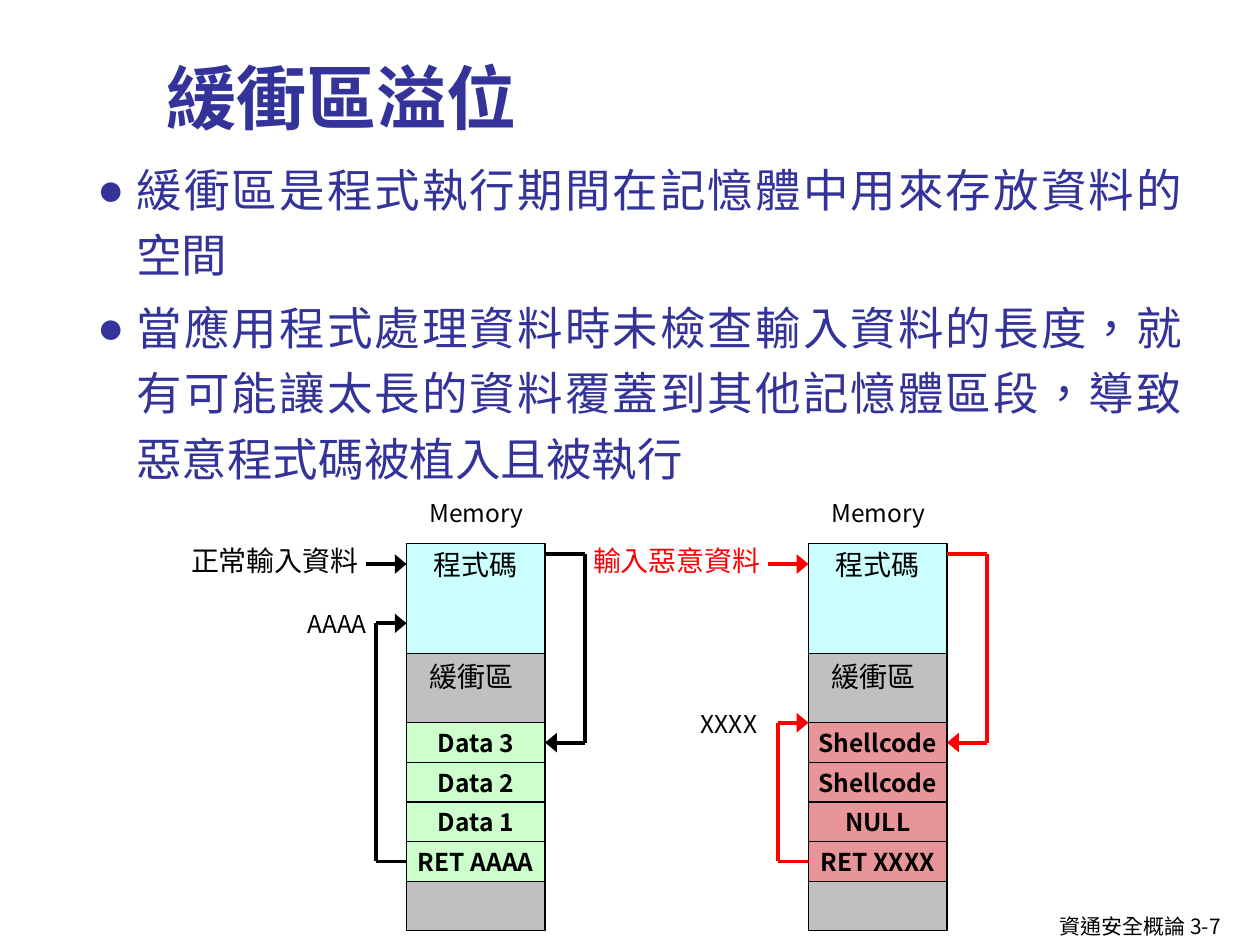
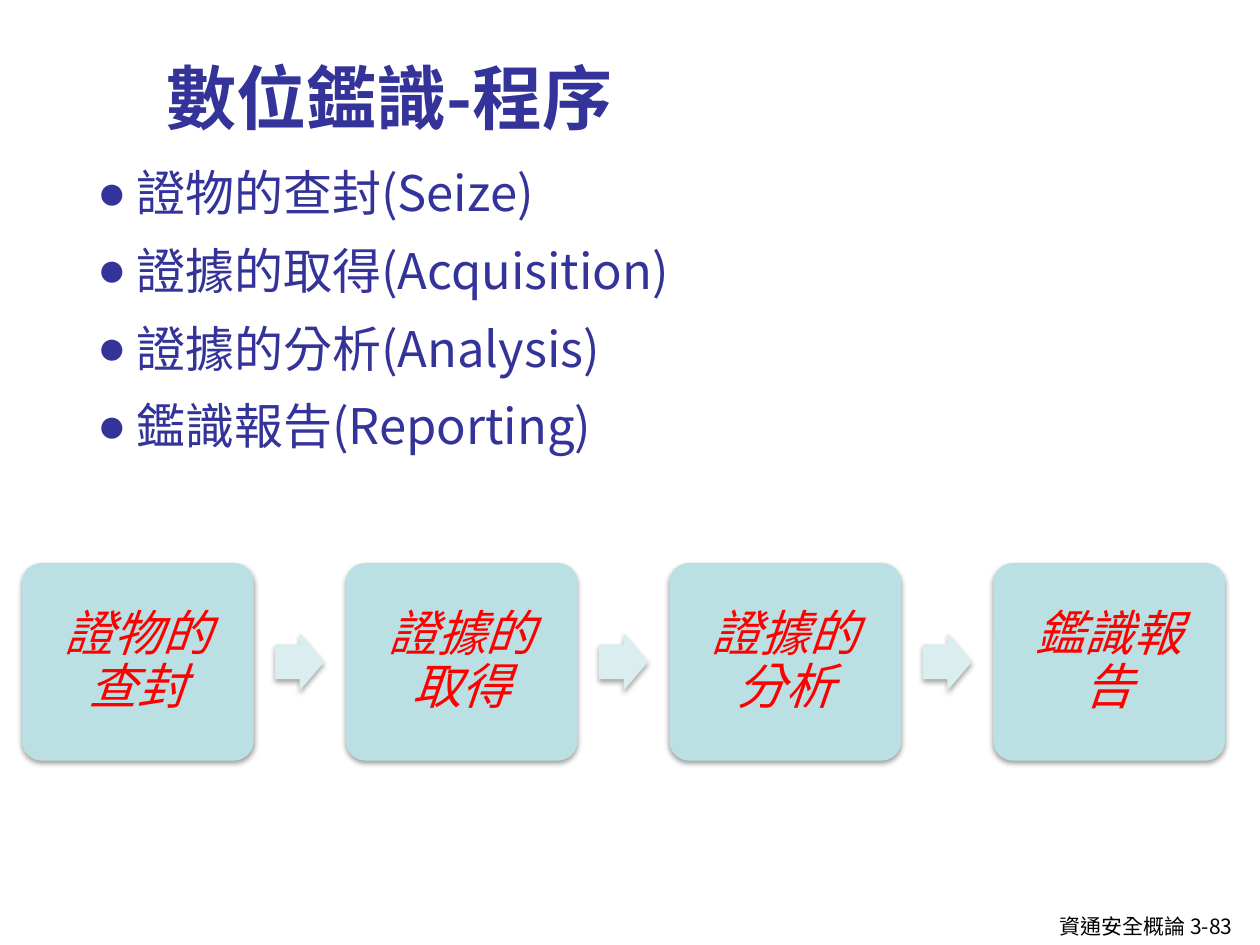
import pptx
import pptx.util
import pptx.dml.color
import pptx.enum.shapes
import pptx.enum.text
import pptx.oxml
import pptx.oxml.ns

Pt = pptx.util.Pt
qn = pptx.oxml.ns.qn
SHAPE = pptx.enum.shapes.MSO_SHAPE
ALIGN = pptx.enum.text.PP_ALIGN
ANCHOR = pptx.enum.text.MSO_ANCHOR

FONT = "Noto Sans CJK SC"
FLOW_FONT = "Noto Sans CJK TC"
BLACK, RED, NAVY = "000000", "FF0000", "333399"
CYAN, GREY, GREEN, PINK = "CCFFFF", "C0C0C0", "CCFFCC", "FF7C80"
NODE_FILL, ARROW_FILL = "BBE0E3", "DAEDEF"

TITLE_BOX = (88.2, 9.4, 587.5, 73.4)
BODY_BOX = (48.4, 82.8, 634.6, 411.8)
FOOTER_BOX = (598.3, 518.4, 121.7, 21.6)


def color(value):
    return pptx.dml.color.RGBColor.from_string(value)


def add_xml(parent, tag, **attributes):
    element = pptx.oxml.parse_xml(
        f'<a:{tag} xmlns:a="http://schemas.openxmlformats.org/drawingml/2006/main"/>')
    for name, value in attributes.items():
        element.set(name, str(value))
    parent.append(element)
    return element


def add_run(paragraph, text, size, tint=BLACK, bold=False, italic=False, font=FONT):
    run = paragraph.add_run()
    run.text = text
    run.font.size = Pt(size)
    run.font.name = font
    run.font.bold = bold
    run.font.italic = italic
    run.font.color.rgb = color(tint)
    run.font._element.set("lang", "zh-TW")
    add_xml(run.font._element, "ea", typeface=font)


def add_text(shapes, box, text, size, tint=BLACK, bold=False,
             align=ALIGN.CENTER, anchor=ANCHOR.TOP, wrap=False):
    frame = shapes.add_textbox(*map(Pt, box)).text_frame
    frame.word_wrap = wrap
    frame.vertical_anchor = anchor
    paragraph = frame.paragraphs[0]
    paragraph.alignment = align
    add_run(paragraph, text, size, tint, bold)


def add_block(shapes, kind, box, fill, outlined=False):
    shape = shapes.add_shape(kind, *map(Pt, box))
    shape.shadow.inherit = False
    shape.fill.solid()
    shape.fill.fore_color.rgb = color(fill)
    if outlined:
        shape.line.color.rgb = color(BLACK)
        shape.line.width = Pt(0.75)
    else:
        shape.line.fill.background()
    return shape


def fill_block(shape, text, size, anchor=ANCHOR.MIDDLE, top=3.6, bold=False):
    frame = shape.text_frame
    frame.word_wrap = False
    frame.vertical_anchor = anchor
    frame.margin_top = Pt(top)
    paragraph = frame.paragraphs[0]
    paragraph.alignment = ALIGN.CENTER
    add_run(paragraph, text, size, bold=bold)


def add_shadow(shape, opacity, distance):
    effects = shape._element.spPr.find(qn("a:effectLst"))
    shadow = add_xml(effects, "outerShdw", blurRad=Pt(3.1), dist=Pt(distance),
                     dir=90 * 60000, rotWithShape=0)
    tint = add_xml(shadow, "srgbClr", val=BLACK)
    add_xml(tint, "alpha", val=opacity * 1000)


def add_path(shapes, points, tint):
    """Joins the points by straight lines; the last one ends in an arrowhead."""
    for number, (start, end) in enumerate(zip(points, points[1:]), 2):
        line = shapes.add_connector(pptx.enum.shapes.MSO_CONNECTOR.STRAIGHT,
                                    *map(Pt, start + end))
        line.line.color.rgb = color(tint)
        line.line.width = Pt(2.25)
        if number == len(points):
            add_xml(line.line._get_or_add_ln(), "tailEnd", type="triangle", w="lg")
        add_xml(line._element.spPr, "effectLst")


def add_body(slide, box, items, size):
    frame = slide.shapes.add_textbox(*map(Pt, box)).text_frame
    frame.word_wrap = True
    for index, item in enumerate(items):
        paragraph = frame.add_paragraph() if index else frame.paragraphs[0]
        paragraph.alignment = ALIGN.JUSTIFY
        paragraph.line_spacing = 1.2
        paragraph.space_before = paragraph.space_after = Pt(2)
        properties = paragraph._element.get_or_add_pPr()
        properties.set("marL", str(Pt(22.5)))
        properties.set("indent", str(Pt(-22.5)))
        add_xml(properties, "buFont", typeface="Arial")
        add_xml(properties, "buChar", char="●")
        add_run(paragraph, item, size, NAVY)


def add_content_slide(presentation, title, items, size, page):
    slide = presentation.slides.add_slide(presentation.slide_layouts[6])
    add_text(slide.shapes, FOOTER_BOX, f"資通安全概論 {page}", 12,
             align=ALIGN.LEFT, wrap=True)
    add_text(slide.shapes, TITLE_BOX, title, 40, NAVY, bold=True,
             align=ALIGN.LEFT, anchor=ANCHOR.BOTTOM, wrap=True)
    add_body(slide, BODY_BOX, items, size)
    return slide


def add_memory(slide, box, source, cells, cell_fill, opacity, tint,
               address, address_center, return_y):
    """Draws a memory column in the box, with its input, jump and return arrows."""
    shapes = slide.shapes.add_group_shape().shapes
    left, top, width, height = box
    right = left + width
    code_height, cells_top, cell_height = 62.6, 102.2, 22.65

    code = add_block(shapes, SHAPE.RECTANGLE, (left, top, width, code_height), CYAN, True)
    fill_block(code, "程式碼", 16, ANCHOR.TOP, top=2.3)
    add_block(shapes, SHAPE.RECTANGLE,
              (left, top + code_height, width, height - code_height), GREY, True)
    add_text(shapes, (left + 5.8, top + code_height, 62.6, 26.6), "緩衝區", 16)
    add_text(shapes, (left + 4.2, top - 29.5, 71.3, 24.5), "Memory", 14)
    add_text(shapes, (left - 130.3, top - 3.8, 110.2, 26.6), source, 16, tint)
    add_text(shapes, (left + address_center - 27, top + return_y - 11.6, 54, 24),
             address, 14)

    for row, label in enumerate(cells):
        cell_top = top + cells_top + row * cell_height
        cell = add_block(shapes, SHAPE.RECTANGLE,
                         (left, cell_top, width, cell_height), cell_fill, True)
        fill_block(cell, label, 14, bold=True)
        if opacity < 100:
            fill_color = cell._element.spPr.find(qn("a:solidFill"))[0]
            add_xml(fill_color, "alpha", val=opacity * 1000)

    input_y, jump_y = top + 11.5, top + 5.8
    first_y = top + cells_top + cell_height / 2
    last_y = first_y + (len(cells) - 1) * cell_height
    jump_x, return_x = right + 22.8, left - 17.3
    add_path(shapes, [(left - 23, input_y), (left, input_y)], tint)
    add_path(shapes, [(right, jump_y), (jump_x, jump_y),
                      (jump_x, first_y), (right, first_y)], tint)
    add_path(shapes, [(left, last_y), (return_x, last_y),
                      (return_x, top + return_y), (left, top + return_y)], tint)


def add_flow(slide, box, steps):
    """Spreads the steps evenly over the box, with an arrow in each gap."""
    shapes = slide.shapes.add_group_shape().shapes
    left, top, width, height = box
    node_width, arrow_width, arrow_height = 132.5, 28.1, 33.1
    pitch = (width - node_width) / (len(steps) - 1)
    for index, step in enumerate(steps):
        x = left + index * pitch
        node = add_block(shapes, SHAPE.ROUNDED_RECTANGLE,
                         (x, top, node_width, height), NODE_FILL)
        node.adjustments[0] = 0.1
        add_shadow(node, 38, 1.6)
        frame = node.text_frame
        frame.word_wrap = True
        frame.vertical_anchor = ANCHOR.MIDDLE
        frame.margin_left = frame.margin_right = Pt(8.6)
        frame.margin_top = frame.margin_bottom = Pt(8.6)
        paragraph = frame.paragraphs[0]
        paragraph.alignment = ALIGN.CENTER
        paragraph.line_spacing = 0.9
        add_run(paragraph, step, 28, RED, italic=True, font=FLOW_FONT)
        if index < len(steps) - 1:
            arrow_x = x + (node_width + pitch - arrow_width) / 2
            arrow = add_block(shapes, SHAPE.RIGHT_ARROW,
                              (arrow_x, top + (height - arrow_height) / 2,
                               arrow_width, arrow_height), ARROW_FILL)
            arrow.adjustments[0] = 0.6
            arrow.adjustments[1] = 0.5
            add_shadow(arrow, 35, 1.8)


def add_overflow_slide(presentation):
    slide = add_content_slide(presentation, "緩衝區溢位", [
        "緩衝區是程式執行期間在記憶體中用來存放資料的空間",
        "當應用程式處理資料時未檢查輸入資料的長度，就有可能讓太長的資料覆蓋到"
        "其他記憶體區段，導致惡意程式碼被植入且被執行",
    ], 26, "3-7")
    add_memory(slide, (232.3, 310.8, 79.2, 221), "正常輸入資料",
               ["Data 3", "Data 2", "Data 1", "RET AAAA"], GREEN, 100, BLACK,
               "AAAA", address_center=-39.6, return_y=45.4)
    add_memory(slide, (462, 310.8, 79.2, 221), "輸入惡意資料",
               ["Shellcode", "Shellcode", "NULL", "RET XXXX"], PINK, 62, RED,
               "XXXX", address_center=-45.4, return_y=102.2)


def add_forensics_slide(presentation):
    steps = {"證物的查封": "Seize", "證據的取得": "Acquisition",
             "證據的分析": "Analysis", "鑑識報告": "Reporting"}
    slide = add_content_slide(presentation, "數位鑑識-程序",
                              [f"{step}({term})" for step, term in steps.items()],
                              28, "3-83")
    add_flow(slide, (12.5, 321.7, 687.6, 113), list(steps))


def main():
    presentation = pptx.Presentation()
    presentation.slide_width = Pt(720)
    presentation.slide_height = Pt(540)
    add_overflow_slide(presentation)
    add_forensics_slide(presentation)
    presentation.save("out.pptx")


if __name__ == "__main__":
    main()
